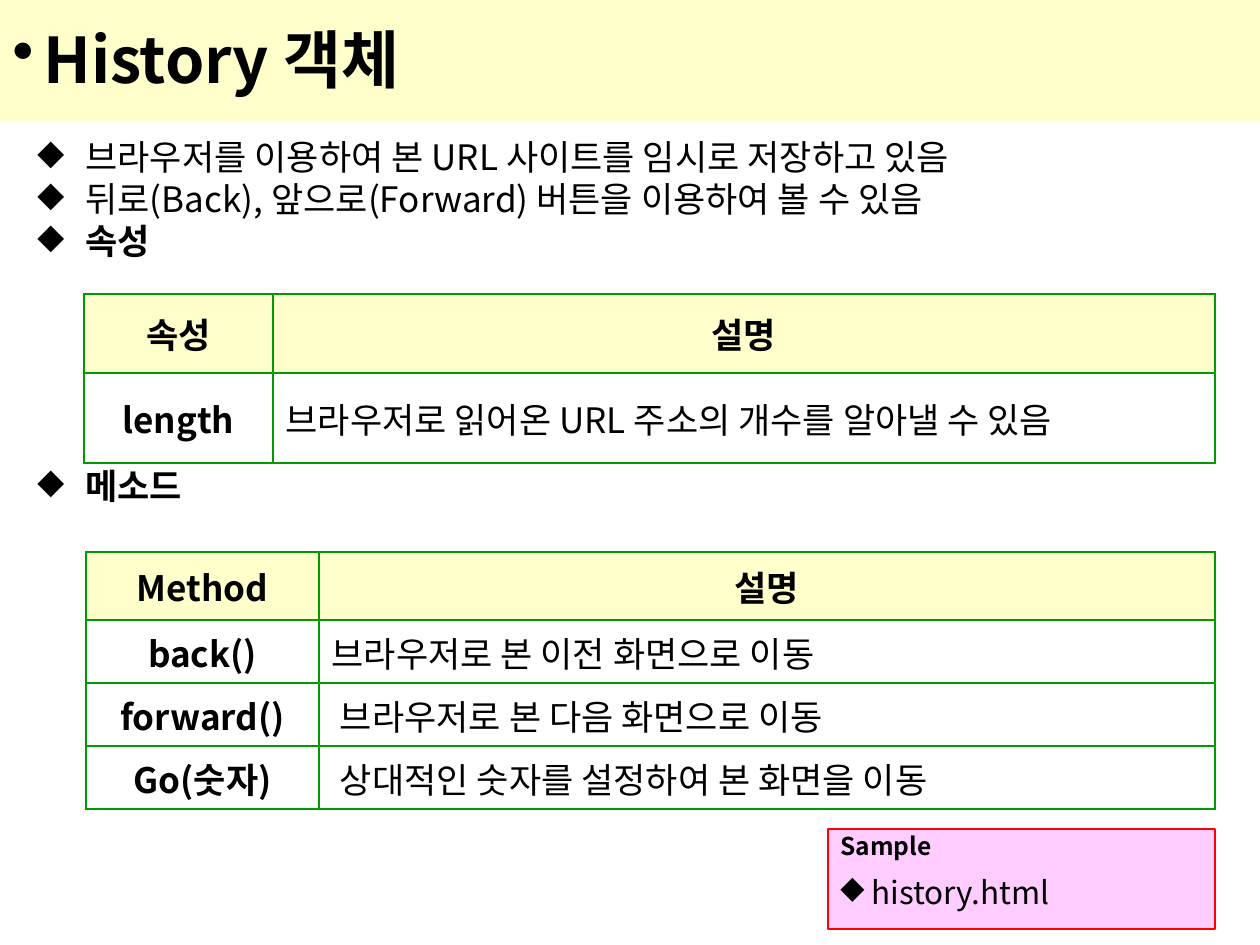
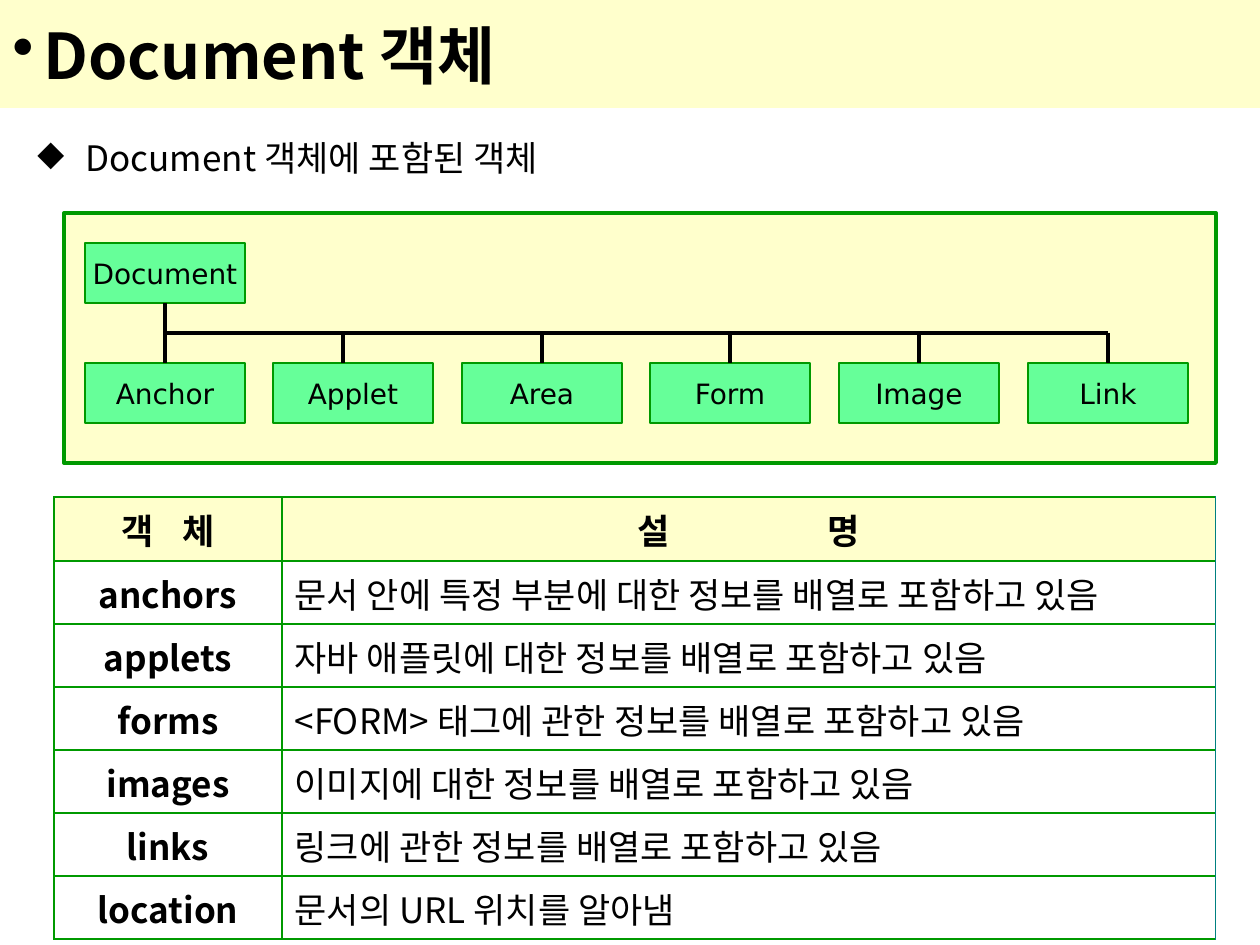
from lxml import etree
from pptx import Presentation
from pptx.dml.color import RGBColor
from pptx.enum.shapes import MSO_CONNECTOR, MSO_SHAPE
from pptx.enum.text import MSO_ANCHOR, PP_ALIGN
from pptx.oxml.ns import qn
from pptx.util import Emu, Pt

RECT = MSO_SHAPE.RECTANGLE
STRAIGHT = MSO_CONNECTOR.STRAIGHT
MIDDLE, TOP = MSO_ANCHOR.MIDDLE, MSO_ANCHOR.TOP
LEFT, CENTER = PP_ALIGN.LEFT, PP_ALIGN.CENTER

PX = 914400 / 126
COLORS = {
    "text": "000000", "white": "FFFFFF", "band": "FFFFCC", "green": "009900",
    "teal": "008080", "node": "66FF99", "sample": "FFCCFF", "red": "FF0000",
}
FONT, NODE_FONT = "Noto Sans CJK KR", "DejaVu Sans"


def px(n):
    return Emu(round(n * PX))


def rgb(name):
    return RGBColor.from_string(COLORS[name])


def write(p, text, size=20, bold=False, font=FONT, align=LEFT, before=0,
          bullet=None, hang=0, spread=0):
    """Fill a paragraph; spread widens the gaps before the last character."""
    p.alignment = align
    pPr = p._p.get_or_add_pPr()
    if bullet:
        pPr.set("marL", str(px(hang)))
        pPr.set("indent", str(-px(hang)))
        etree.SubElement(pPr, qn("a:buChar")).set("char", bullet)
    p.space_before = Pt(before)
    for part in ((text[:-1], text[-1]) if spread else (text,)):
        r = p.add_run()
        r.text = part
        r.font.size, r.font.bold, r.font.name = Pt(size), bold, font
        r.font.color.rgb = rgb("text")
        rPr = r._r.get_or_add_rPr()
        etree.SubElement(rPr, qn("a:ea")).set("typeface", font)
        if spread and part != text[-1]:
            rPr.set("spc", str(spread * 100))


class Deck:
    def __init__(self):
        self.prs = Presentation()
        self.prs.slide_width, self.prs.slide_height = px(1260), px(945)
        self.s = None

    def slide(self, title, top, height):
        self.s = self.prs.slides.add_slide(self.prs.slide_layouts[6])
        band = self.box(0, top, 1260, height, "band")
        write(band.text_frame.paragraphs[0], title, size=36, bold=True,
              bullet="•", hang=31)

    def box(self, x, y, w, h, fill, line=None, weight=1, anchor=MIDDLE):
        sp = self.s.shapes.add_shape(RECT, px(x), px(y), px(w), px(h))
        sp.shadow.inherit = False
        sp.fill.solid()
        sp.fill.fore_color.rgb = rgb(fill)
        if line:
            sp.line.color.rgb, sp.line.width = rgb(line), Pt(weight)
        else:
            sp.line.fill.background()
        sp.text_frame.vertical_anchor = anchor
        return sp

    def node(self, x, y, name):
        sp = self.box(x, y, 160, 60, "node", "green")
        sp.text_frame.word_wrap = False
        write(sp.text_frame.paragraphs[0], name, size=16, font=NODE_FONT, align=CENTER)
        return sp

    def bullets(self, y, w, h, items):
        tf = self.s.shapes.add_textbox(px(25), px(y), px(w), px(h)).text_frame
        tf.word_wrap, tf.margin_top = True, 0
        for i, (text, style) in enumerate(items):
            p = tf.add_paragraph() if i else tf.paragraphs[0]
            write(p, text, bullet="◆", hang=48, **style)

    def line(self, x1, y1, x2, y2):
        c = self.s.shapes.add_connector(STRAIGHT, px(x1), px(y1), px(x2), px(y2))
        c.line.color.rgb, c.line.width = rgb("text"), Pt(2.25)
        etree.SubElement(c._element.spPr, qn("a:effectLst"))
        return c

    def border(self, cell, side, color="green", weight=1.08):
        ln = etree.SubElement(cell._tc.get_or_add_tcPr(), qn(f"a:ln{side}"))
        ln.set("w", str(Pt(weight)))
        fill = etree.SubElement(ln, qn("a:solidFill"))
        etree.SubElement(fill, qn("a:srgbClr")).set("val", COLORS[color])

    def table(self, x, y, cols, heights, rows, spreads=(0, 0), indented=(),
              right_edge=("green", 1.08)):
        t = self.s.shapes.add_table(len(rows), len(cols), px(x), px(y),
                                    px(sum(cols)), px(sum(heights))).table
        t.first_row = t.horz_banding = False
        for col, w in zip(t.columns, cols):
            col.width = px(w)
        for i, (row, h) in enumerate(zip(rows, heights)):
            t.rows[i].height = px(h)
            for j, text in enumerate(row):
                cell = t.cell(i, j)
                last = j == len(cols) - 1
                self.border(cell, "L")
                self.border(cell, "R", *(right_edge if last else ()))
                self.border(cell, "T")
                self.border(cell, "B")
                cell.fill.solid()
                cell.fill.fore_color.rgb = rgb("white" if i else "band")
                cell.vertical_anchor = MIDDLE
                if last and i in indented:
                    cell.margin_left = px(21)
                label = i == 0 or j == 0
                write(cell.text_frame.paragraphs[0], text, bold=label,
                      align=CENTER if label else LEFT,
                      spread=0 if i else spreads[j])


def history_slide(d):
    d.slide("History 객체", -4, 125)
    d.bullets(135, 1191, 624, [
        ("브라우저를 이용하여 본 URL 사이트를 임시로 저장하고 있음", {}),
        ("뒤로(Back), 앞으로(Forward) 버튼을 이용하여 볼 수 있음", {}),
        ("속성", {"bold": True}),
        ("메소드", {"bold": True, "before": 116}),
    ])

    # Property and method tables
    d.table(84, 294, [189, 942], [79, 90], [
        ("속성", "설명"),
        ("length", "브라우저로 읽어온 URL 주소의 개수를 알아낼 수 있음"),
    ])
    d.table(86, 552, [233, 896], [68] + [63] * 3, [
        ("Method", "설명"),
        ("back()", "브라우저로 본 이전 화면으로 이동"),
        ("forward()", "브라우저로 본 다음 화면으로 이동"),
        ("Go(숫자)", "상대적인 숫자를 설정하여 본 화면을 이동"),
    ], indented=(2, 3))

    # Sample file
    tf = d.box(828, 829, 387, 100, "sample", "red", 0.75, anchor=TOP).text_frame
    tf.margin_top = px(2)
    write(tf.paragraphs[0], "Sample", size=14, bold=True)
    write(tf.add_paragraph(), "history.html", size=18, before=7, bullet="◆", hang=31)


def document_slide(d):
    d.slide("Document 객체", 0, 108)
    d.bullets(136, 1160, 118, [("Document 객체에 포함된 객체", {})])

    # Object tree
    d.box(64, 213, 1152, 250, "band", "green", 2.25)
    left, child_top, bus = 85, 363, 333
    root = d.node(left, 243, "Document")
    names = ["Anchor", "Applet", "Area", "Form", "Image", "Link"]
    lefts = [left + 943 * i // 5 for i in range(len(names))]
    children = [d.node(x, child_top, name) for x, name in zip(lefts, names)]
    centers = [x + 80 for x in lefts]

    trunk = d.line(centers[0], 303, centers[0], child_top)
    trunk.begin_connect(root, 2)
    trunk.end_connect(children[0], 0)
    d.line(centers[0], bus, centers[-1], bus)
    d.line(343, bus, 343, child_top)  # Applet drop stands left of centre
    for x, child in zip(centers[2:], children[2:]):
        d.line(x, bus, x, child_top).end_connect(child, 0)

    # Object descriptions
    d.table(54, 497, [228, 933], [64] + [63] * 6, [
        ("객 체", "설 명"),
        ("anchors", "문서 안에 특정 부분에 대한 정보를 배열로 포함하고 있음"),
        ("applets", "자바 애플릿에 대한 정보를 배열로 포함하고 있음"),
        ("forms", "<FORM> 태그에 관한 정보를 배열로 포함하고 있음"),
        ("images", "이미지에 대한 정보를 배열로 포함하고 있음"),
        ("links", "링크에 관한 정보를 배열로 포함하고 있음"),
        ("location", "문서의 URL 위치를 알아냄"),
    ], spreads=(6, 43), right_edge=("teal", 0.45))


def main():
    d = Deck()
    history_slide(d)
    document_slide(d)
    d.prs.save("out.pptx")


if __name__ == "__main__":
    main()
